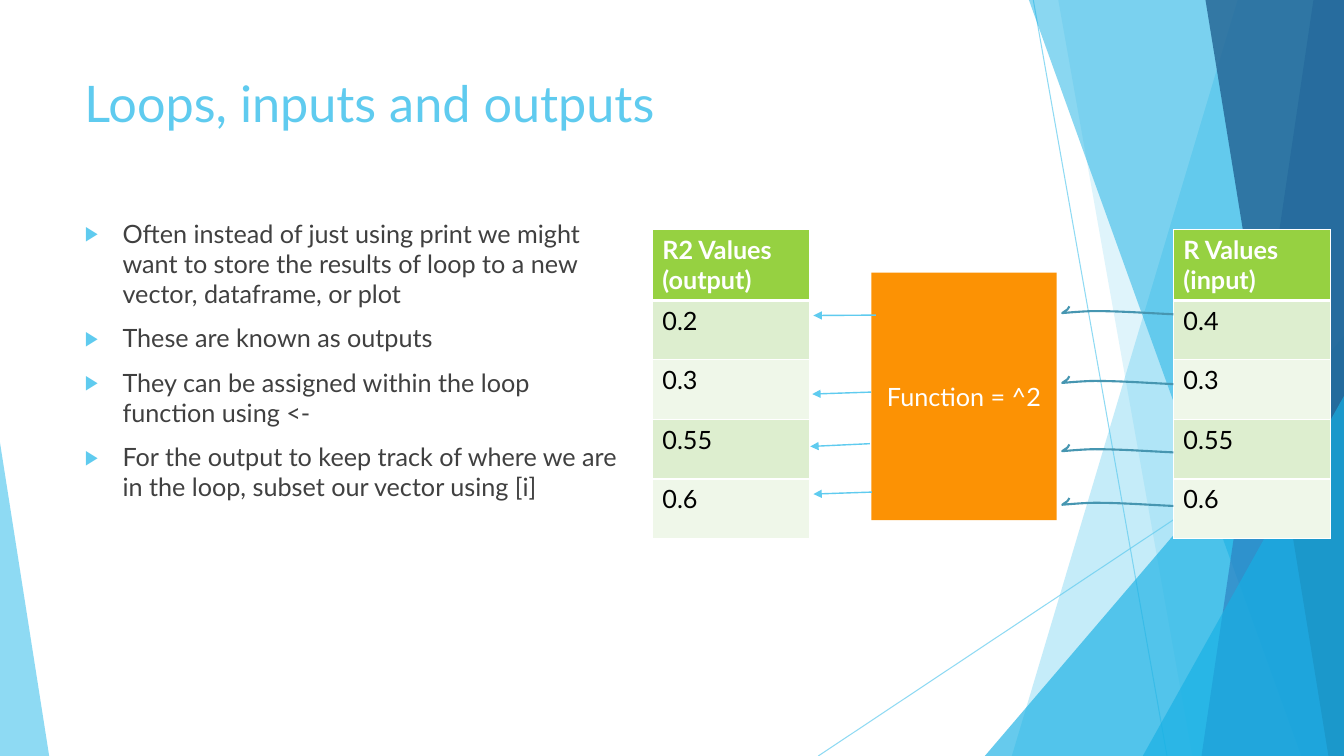
from dataclasses import dataclass

from lxml.etree import SubElement
from pptx import Presentation
from pptx.dml.color import RGBColor
from pptx.enum.shapes import MSO_CONNECTOR, MSO_SHAPE
from pptx.enum.text import MSO_ANCHOR, PP_ALIGN
from pptx.oxml.ns import qn
from pptx.util import Cm, Pt

COLORS = {
    "sky": "5FCBEF", "azure": "17B0E4", "blue": "2E83C3", "navy": "226292",
    "ink": "404040", "black": "000000", "white": "FFFFFF", "orange": "FC9204",
    "teal": "4696B1", "green": "96D141", "mint": "DDEECF", "pale": "EFF7E9",
}
FONT = "Lato"
WIDTH, HEIGHT = 33.87, 19.05
Point = tuple[float, float]


@dataclass
class Band:
    top_x: float
    bottom_x: float
    color: str
    opacity: int


@dataclass
class Wedge:
    left: float
    top: float
    width: float
    apex: float
    color: str
    opacity: int


@dataclass
class Line:
    start: Point
    end: Point
    weight: float = 1
    opacity: int = 100
    arrow: bool = False


@dataclass
class ValueTable:
    left: float
    header: str
    values: list[str]


RAYS = [
    Line((26.04, 0), (29.41, HEIGHT), 0.75, 70),
    Line((WIDTH, 10.24), (20.62, HEIGHT), 0.75, 70),
]
FACETS = [
    Band(31.19, 25.5, "sky", 36),
    Band(26.67, 30.05, "sky", 20),
    Wedge(24.82, 8.46, 9.05, 1, "azure", 66),
    Band(25.93, 32.79, "azure", 50),
    Band(33.1, 30.28, "blue", 70),
    Band(30.38, 33.48, "navy", 80),
    Wedge(28.8, 9.98, 5.07, 1, "azure", 66),
    Wedge(0, 11.15, 1.24, 0, "sky", 70),
]
BULLETS = [
    "Often instead of just using print we might want to store the results "
    "of loop to a new vector, dataframe, or plot",
    "These are known as outputs",
    "They can be assigned within the loop function using <- ",
    "For the output to keep track of where we are in the loop, "
    "subset our vector using [i]",
]
INPUTS = ValueTable(29.57, "R Values (input)", ["0.4", "0.3", "0.55", "0.6"])
OUTPUTS = ValueTable(16.44, "R2 Values\n(output)", ["0.2", "0.3", "0.55", "0.6"])
INPUT_ARROW_TOPS = [7.92, 9.68, 11.4, 12.75]
INPUT_ARROW_POINTS = [
    (0, 0),
    (-0.66, -0.03), (-1.32, -0.08), (-1.98, -0.08),
    (-2.26, -0.08), (-2.8, -0.03), (-2.8, -0.03),
    (-2.64, -0.15), (-2.69, -0.08), (-2.62, -0.2),
]
OUTPUT_ARROWS = [
    Line((22.07, 7.94), (20.5, 7.95), arrow=True),
    Line((21.95, 9.88), (20.47, 9.93), arrow=True),
    Line((21.92, 11.18), (20.42, 11.25), arrow=True),
    Line((21.97, 12.4), (20.5, 12.45), arrow=True),
]


def rgb(name: str) -> RGBColor:
    return RGBColor.from_string(COLORS[name])


def set_opacity(element, percent: int) -> None:
    color = next(element.iter(qn("a:srgbClr")))
    SubElement(color, qn("a:alpha"), val=str(percent * 1000))


def paint(shape, color: str, opacity: int = 100) -> None:
    shape.shadow.inherit = False
    shape.fill.solid()
    shape.fill.fore_color.rgb = rgb(color)
    shape.line.fill.background()
    if opacity < 100:
        set_opacity(shape._element.spPr.find(qn("a:solidFill")), opacity)


def style_text(para, size: float, color: str, bold: bool = False) -> None:
    for span in para.runs:
        span.font.name = FONT
        span.font.size = Pt(size)
        span.font.bold = bold
        span.font.color.rgb = rgb(color)


def add_outline(page, points: list[Point], close: bool):
    corners = [(Cm(x), Cm(y)) for x, y in points]
    builder = page.shapes.build_freeform(*corners[0], scale=1.0)
    builder.add_line_segments(corners[1:], close=close)
    return builder.convert_to_shape()


def add_facet(page, facet: Band | Wedge) -> None:
    if isinstance(facet, Band):
        shape = add_outline(page, [(facet.top_x, 0), (WIDTH, 0), (WIDTH, HEIGHT),
                                   (facet.bottom_x, HEIGHT)], True)
    else:
        shape = page.shapes.add_shape(
            MSO_SHAPE.ISOSCELES_TRIANGLE, Cm(facet.left), Cm(facet.top),
            Cm(facet.width), Cm(HEIGHT - facet.top))
        shape.adjustments[0] = facet.apex
    paint(shape, facet.color, facet.opacity)


def add_line(page, line: Line) -> None:
    ends = [Cm(value) for value in (*line.start, *line.end)]
    connector = page.shapes.add_connector(MSO_CONNECTOR.STRAIGHT, *ends)
    connector.line.color.rgb = rgb("sky")
    connector.line.width = Pt(line.weight)
    outline = connector.line._get_or_add_ln()
    if line.opacity < 100:
        set_opacity(outline, line.opacity)
    if line.arrow:
        SubElement(outline, qn("a:tailEnd"), type="triangle")
    SubElement(connector._element.spPr, qn("a:effectLst"))


def bend_segments(shape) -> None:
    track = next(shape._element.iter(qn("a:path")))
    segments = track.findall(qn("a:lnTo"))
    for start in range(0, len(segments), 3):
        curve = SubElement(track, qn("a:cubicBezTo"))
        for segment in segments[start:start + 3]:
            curve.append(segment[0])
            track.remove(segment)


def add_input_arrow(page, top: float) -> None:
    points = [(INPUTS.left + x, top + y) for x, y in INPUT_ARROW_POINTS]
    shape = add_outline(page, points, False)
    bend_segments(shape)
    shape.shadow.inherit = False
    shape.fill.background()
    shape.line.color.rgb = rgb("teal")
    shape.line.width = Pt(1.5)


def add_text(page, left: float, top: float, width: float, height: float, text: str):
    box = page.shapes.add_textbox(Cm(left), Cm(top), Cm(width), Cm(height))
    box.text_frame.word_wrap = True
    box.text_frame.text = text
    return box.text_frame.paragraphs


def add_bullet(para) -> None:
    para.space_before = Pt(10)
    props = para._p.get_or_add_pPr()
    props.set("marL", str(Cm(0.95)))
    props.set("indent", str(-Cm(0.95)))
    SubElement(SubElement(props, qn("a:buClr")), qn("a:srgbClr"), val=COLORS["sky"])
    SubElement(props, qn("a:buSzPct"), val="80000")
    SubElement(props, qn("a:buFont"), typeface=FONT)
    SubElement(props, qn("a:buChar"), char="▶")


def add_values(page, data: ValueTable) -> None:
    texts = [data.header, *data.values]
    height = Cm(7.82)
    frame = page.shapes.add_table(len(texts), 1, Cm(data.left), Cm(5.79), Cm(3.95), height)
    for index, text in enumerate(texts):
        header = index == 0
        frame.table.rows[index].height = Cm(1.5)
        cell = frame.table.cell(index, 0)
        props = cell._tc.get_or_add_tcPr()
        for side in ("lnL", "lnR", "lnT", "lnB"):
            thick = (header and side == "lnB") or (index == 1 and side == "lnT")
            border = SubElement(props, qn(f"a:{side}"), w=str(Pt(3 if thick else 1)))
            fill = SubElement(border, qn("a:solidFill"))
            SubElement(fill, qn("a:srgbClr"), val=COLORS["white"])
        cell.fill.solid()
        cell.fill.fore_color.rgb = rgb("green" if header else ("pale", "mint")[index % 2])
        cell.text_frame.text = text
        for para in cell.text_frame.paragraphs:
            style_text(para, 18, "white" if header else "black", header)
    frame.height = height


def add_function(page) -> None:
    box = page.shapes.add_shape(MSO_SHAPE.RECTANGLE, Cm(21.96), Cm(6.87), Cm(4.67), Cm(6.24))
    paint(box, "orange")
    box.text_frame.word_wrap = True
    box.text_frame.vertical_anchor = MSO_ANCHOR.MIDDLE
    box.text_frame.text = "Function = ^2"
    para = box.text_frame.paragraphs[0]
    para.alignment = PP_ALIGN.CENTER
    style_text(para, 18, "white")


deck = Presentation()
deck.slide_width, deck.slide_height = Cm(WIDTH), Cm(HEIGHT)
page = deck.slides.add_slide(deck.slide_layouts[6])
for ray in RAYS:
    add_line(page, ray)
for facet in FACETS:
    add_facet(page, facet)
for para in add_text(page, 1.88, 1.7, 23.88, 3.66, "Loops, inputs and outputs"):
    style_text(para, 36, "sky")
for para in add_text(page, 1.89, 5.37, 14.12, 10.77, "\n".join(BULLETS)):
    add_bullet(para)
    style_text(para, 18, "ink")
add_values(page, INPUTS)
add_function(page)
for top in INPUT_ARROW_TOPS:
    add_input_arrow(page, top)
add_values(page, OUTPUTS)
for arrow in OUTPUT_ARROWS:
    add_line(page, arrow)
deck.save("out.pptx")
